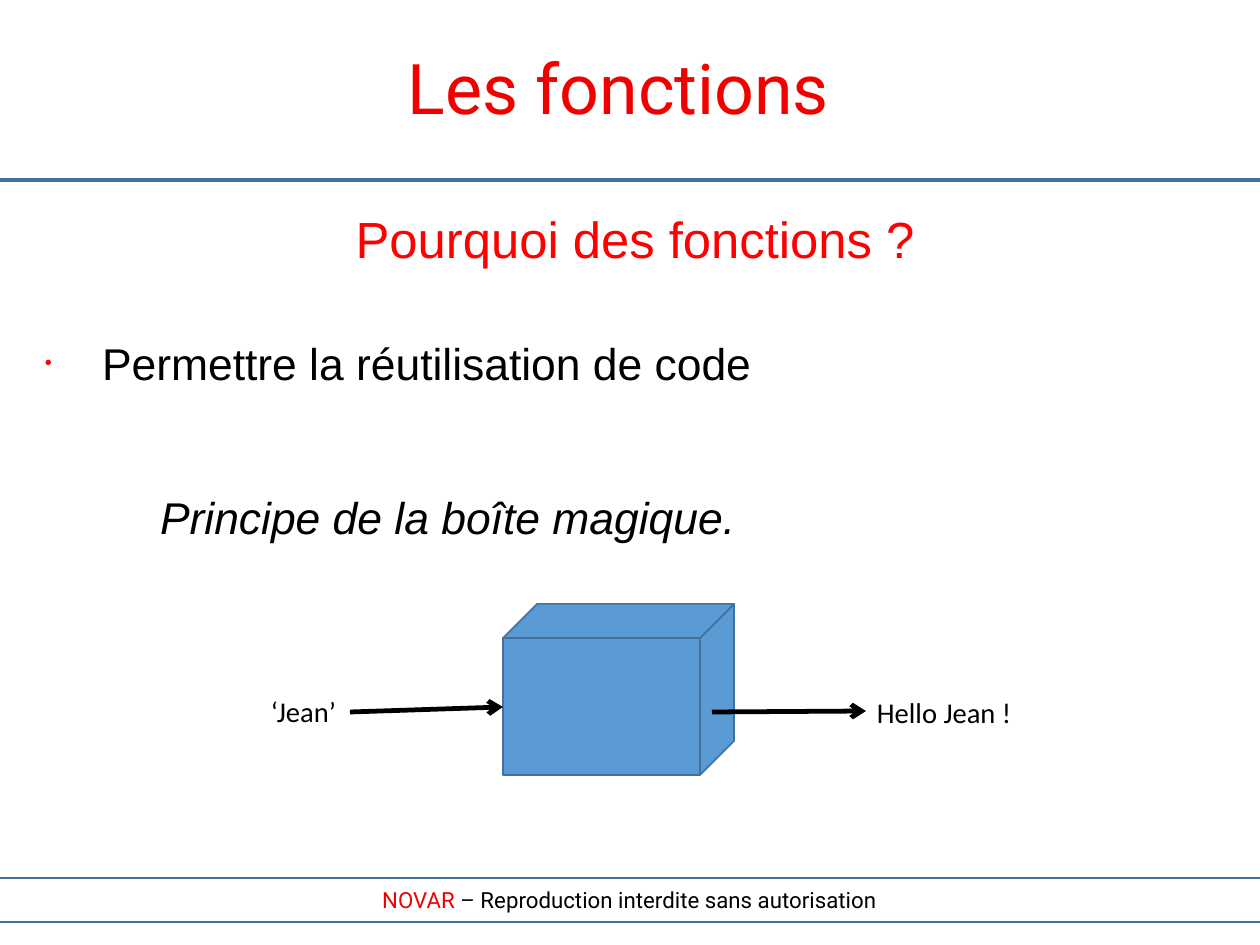
from lxml import etree
from pptx import Presentation
from pptx.dml.color import RGBColor
from pptx.enum.shapes import MSO_CONNECTOR, MSO_SHAPE
from pptx.enum.text import MSO_ANCHOR, MSO_AUTO_SIZE, PP_ALIGN
from pptx.oxml.ns import qn
from pptx.util import Emu, Pt

STRAIGHT = MSO_CONNECTOR.STRAIGHT
RECTANGLE = MSO_SHAPE.RECTANGLE
TOP, MIDDLE = MSO_ANCHOR.TOP, MSO_ANCHOR.MIDDLE
NO_AUTOFIT = MSO_AUTO_SIZE.NONE
LEFT, CENTER = PP_ALIGN.LEFT, PP_ALIGN.CENTER

TITLE_RED = RGBColor(0xF2, 0x00, 0x00)
RED = RGBColor(0xFF, 0x00, 0x00)
BLACK = RGBColor(0x00, 0x00, 0x00)
BOX_BLUE = RGBColor(0x5B, 0x9B, 0xD5)
EDGE_BLUE = RGBColor(0x41, 0x71, 0x9C)

SCALE = 8000  # EMU per pixel
WIDTH, HEIGHT = 1260, 945


def px(pixels):
    """Turn pixels into EMU."""
    return Emu(pixels * SCALE)


def place(shape, left, top, width, height):
    """Move and size a shape."""
    shape.left, shape.top = px(left), px(top)
    shape.width, shape.height = px(width), px(height)


def set_frame(frame, anchor=TOP, margin_x=0, margin_y=0, wrap=True):
    """Set the margins, anchor and wrapping of a text frame."""
    frame.auto_size = NO_AUTOFIT
    frame.word_wrap = wrap
    frame.vertical_anchor = anchor
    frame.margin_left = frame.margin_right = px(margin_x)
    frame.margin_top = frame.margin_bottom = px(margin_y)


def set_font(font, name, size, color, italic=None):
    """Set the typeface, size and colour of a font."""
    font.name, font.size, font.italic = name, Pt(size), italic
    font.color.rgb = color


def set_indent(paragraph, margin, first_line=0):
    """Set the left margin and first-line indent, with no bullet."""
    properties = paragraph._p.get_or_add_pPr()
    properties.set("marL", str(px(margin)))
    properties.set("indent", str(px(first_line)))
    etree.SubElement(properties, qn("a:buNone"))


def set_bullet(paragraph, color, percent):
    """Give a paragraph a coloured round bullet in place of none."""
    properties = paragraph._p.get_or_add_pPr()
    properties.remove(properties.find(qn("a:buNone")))
    bullet_color = etree.SubElement(properties, qn("a:buClr"))
    etree.SubElement(bullet_color, qn("a:srgbClr"), val=str(color))
    etree.SubElement(properties, qn("a:buSzPct"), val=str(percent * 1000))
    etree.SubElement(properties, qn("a:buFont"), typeface="Arial")
    etree.SubElement(properties, qn("a:buChar"), char="•")


def add_title(slide, text):
    """Fill the title placeholder."""
    title = slide.shapes.title
    place(title, -14, 39, 1265, 94)
    set_frame(title.text_frame, margin_x=11, margin_y=6)
    heading = title.text_frame.paragraphs[0]
    heading.text, heading.alignment = text, CENTER
    set_font(heading.font, "Roboto", 44, TITLE_RED)


def add_body(slide):
    """Fill the body placeholder with subtitle, bullet and principle."""
    body = slide.placeholders[1]
    place(body, 45, 208, 1181, 642)
    frame = body.text_frame
    set_frame(frame)
    subtitle = frame.paragraphs[0]
    reason, principle = frame.add_paragraph(), frame.add_paragraph()
    rows = (
        (subtitle, "Pourquoi des fonctions ?", 32, RED, CENTER, 42, 0, 0),
        (reason, "Permettre la réutilisation de code", 28, BLACK, LEFT, 63.6, 57, -57),
        (principle, "Principe de la boîte magique.", 28, BLACK, LEFT, 0, 115, 0),
    )
    for paragraph, text, size, color, alignment, after, margin, first_line in rows:
        paragraph.text, paragraph.alignment = text, alignment
        paragraph.space_before, paragraph.space_after = Pt(0), Pt(after)
        set_indent(paragraph, margin, first_line)
        set_font(paragraph.font, "Arial", size, color)
    principle.font.italic = True
    set_bullet(reason, RED, 45)


def add_line(slide, start, end, color, weight, arrow=False):
    """Draw a straight line, with an arrowhead at its end if asked."""
    line = slide.shapes.add_connector(STRAIGHT, *map(px, start + end))
    line.line.color.rgb, line.line.width = color, Pt(weight)
    if arrow:
        etree.SubElement(line.line._get_or_add_ln(), qn("a:tailEnd"), type="arrow")
    etree.SubElement(line._element.spPr, qn("a:effectLst"))


def add_face(slide, corners):
    """Draw one flat face of the magic box."""
    builder = slide.shapes.build_freeform(*corners[0], scale=SCALE)
    builder.add_line_segments(corners[1:], close=True)
    face = builder.convert_to_shape()
    face.shadow.inherit = False
    face.fill.solid()
    face.fill.fore_color.rgb = BOX_BLUE
    face.line.color.rgb, face.line.width = EDGE_BLUE, Pt(1)


def add_box(slide, left, top, width, height, depth):
    """Draw the magic box from its front, side and top faces."""
    right, bottom = left + width, top + height
    front_right, front_top = right - depth, top + depth
    front = [(left, front_top), (front_right, front_top),
             (front_right, bottom), (left, bottom)]
    side = [(front_right, front_top), (right, top),
            (right, bottom - depth), (front_right, bottom)]
    lid = [(left, front_top), (left + depth, top),
           (right, top), (front_right, front_top)]
    for corners in (front, side, lid):
        add_face(slide, corners)


def add_label(slide, text, left, top, width):
    """Write the value that enters or leaves the box."""
    label = slide.shapes.add_textbox(px(left), px(top), px(width), px(46))
    set_frame(label.text_frame, margin_x=11, margin_y=6, wrap=False)
    value = label.text_frame.paragraphs[0]
    value.text = text
    set_font(value.font, "Calibri", 18, BLACK)


def add_footer(slide, company, notice):
    """Draw the footer band with the company and its notice."""
    band = slide.shapes.add_shape(RECTANGLE, px(-23), px(878), px(1305), px(44))
    band.shadow.inherit = False
    band.fill.background()
    band.line.color.rgb, band.line.width = EDGE_BLUE, Pt(1.42)
    set_frame(band.text_frame, MIDDLE, 1, 1)
    credit = band.text_frame.paragraphs[0]
    credit.alignment = CENTER
    for text, color in ((company, TITLE_RED), (notice, BLACK)):
        run = credit.add_run()
        run.text = text
        set_font(run.font, "Roboto", 14, color)


def main():
    """Build the slide and save it."""
    presentation = Presentation()
    presentation.slide_width, presentation.slide_height = px(WIDTH), px(HEIGHT)
    slide = presentation.slides.add_slide(presentation.slide_layouts[1])
    add_footer(slide, "NOVAR", " – Reproduction interdite sans autorisation")
    add_line(slide, (0, 180), (WIDTH, 180), EDGE_BLUE, 2.83)
    add_title(slide, "Les fonctions")
    add_body(slide)
    add_box(slide, 503, 604, 231, 171, 34)
    add_line(slide, (350, 712), (503, 707), BLACK, 3, arrow=True)
    add_line(slide, (712, 712), (866, 711), BLACK, 3, arrow=True)
    add_label(slide, "‘Jean’", 260, 688, 89)
    add_label(slide, "Hello Jean !", 866, 689, 159)
    presentation.save("out.pptx")


main()
